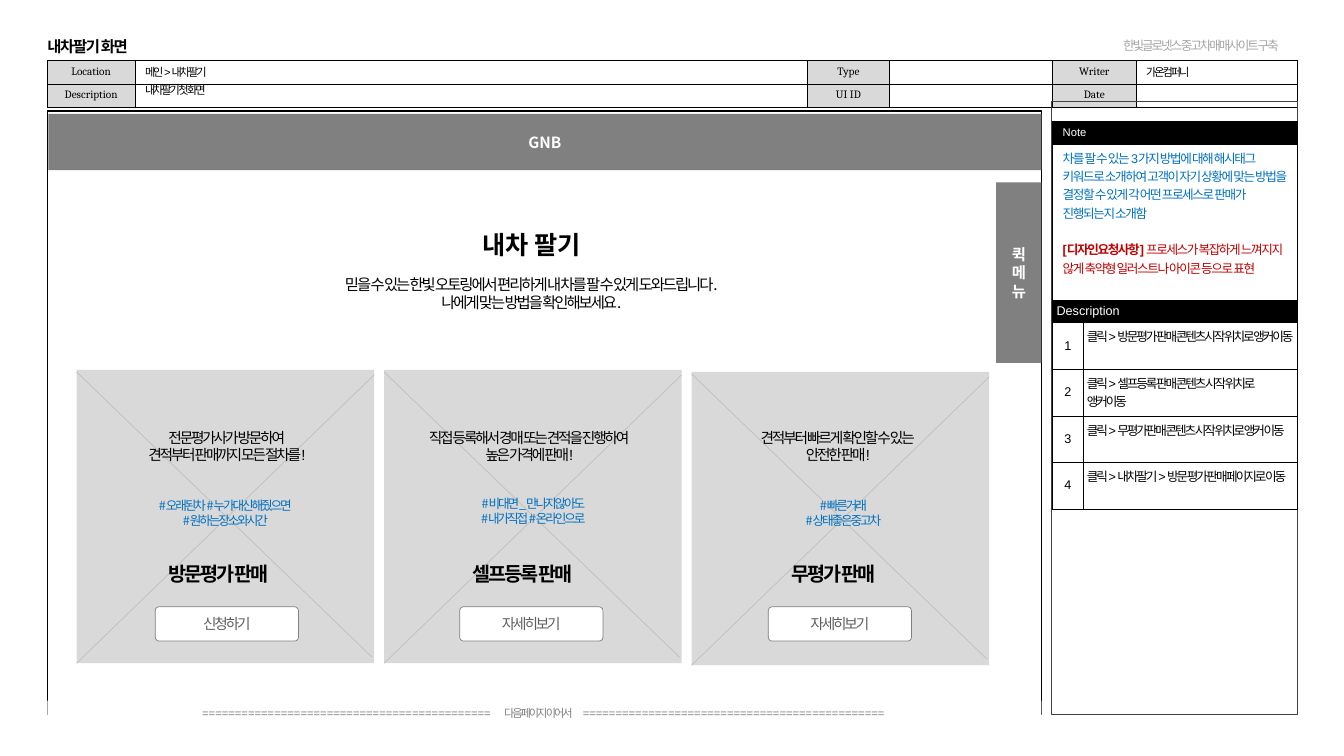
from lxml import etree
from pptx import Presentation
from pptx.dml.color import RGBColor
from pptx.enum.shapes import MSO_CONNECTOR, MSO_SHAPE
from pptx.enum.text import MSO_ANCHOR, MSO_AUTO_SIZE, PP_ALIGN
from pptx.oxml.ns import qn
from pptx.util import Inches, Pt

LEFT, CENTER = PP_ALIGN.LEFT, PP_ALIGN.CENTER
TOP, MIDDLE = MSO_ANCHOR.TOP, MSO_ANCHOR.MIDDLE
RECT, ROUND = MSO_SHAPE.RECTANGLE, MSO_SHAPE.ROUNDED_RECTANGLE
STRAIGHT = MSO_CONNECTOR.STRAIGHT
TITLE_ONLY = 5
KOREAN = "Noto Sans CJK KR"
BLACK, WHITE, GRAY, PALE = "000000", "FFFFFF", "808080", "D9D9D9"
BLUE, RED = "0070C0", "C00000"
TIGHT = -1.5


def grid(count):
    """Turn grid columns or rows into a length; ten make an inch."""
    return Inches(count / 10)


def color(code):
    """Turn a hex string into a colour."""
    return RGBColor.from_string(code)


def paint(item, fill=None, line=None, weight=0.25):
    """Set the fill and the outline of a shape."""
    if fill:
        item.fill.solid()
        item.fill.fore_color.rgb = color(fill)
    else:
        item.fill.background()
    if line:
        item.line.color.rgb = color(line)
        item.line.width = Pt(weight)
    else:
        item.line.fill.background()


def write(frame, lines, size=9, font="Arial", ink=BLACK, bold=False, tracking=0,
          align=LEFT, spacing=1.2, gap=0, before=0):
    """Write paragraphs; a line is a string or a list of (text, overrides)."""
    for index, line in enumerate(lines):
        para = frame.add_paragraph() if index else frame.paragraphs[0]
        para.alignment = align
        para.space_before = Pt(gap if index else before)
        if spacing:
            para.line_spacing = Pt(round(size * spacing, 1))
        if not line:
            para._p.get_or_add_endParaRPr().set("sz", str(size * 100))
            continue
        for text, changes in [(line, {})] if isinstance(line, str) else line:
            span = para.add_run()
            span.text = text
            span.font.size = Pt(size)
            span.font.name = font
            span.font.bold = changes.get("bold", bold)
            span.font.color.rgb = color(ink)
            marks = span._r.get_or_add_rPr()
            marks.set("spc", str(int(tracking * 100)))
            east = etree.Element(qn("a:ea"), typeface=KOREAN)
            marks.find(qn("a:latin")).addnext(east)


class Page:
    """Holds the deck's style and the current slide."""

    def __init__(self, deck):
        self.slide = deck.slides.add_slide(deck.slide_layouts[TITLE_ONLY])
        self.shapes = self.slide.shapes

    def frame(self, box, lines, anchor=TOP, inset=(1, 0.5), **style):
        """Format the text frame of a box and fill it."""
        frame = box.text_frame
        frame.word_wrap = True
        frame.auto_size = MSO_AUTO_SIZE.NONE
        frame.vertical_anchor = anchor
        frame.margin_left = frame.margin_right = grid(inset[0])
        frame.margin_top = frame.margin_bottom = grid(inset[1])
        write(frame, lines, **style)

    def title(self, text, area, **style):
        """Move and format the title placeholder."""
        box = self.shapes.title
        box.left, box.top, box.width, box.height = map(grid, area)
        self.frame(box, [text], MIDDLE, (0, 0), **style)

    def text(self, lines, area, **style):
        """Add a text box."""
        self.frame(self.shapes.add_textbox(*map(grid, area)), lines, **style)

    def shape(self, area, lines=(), kind=RECT, fill=None, line=None, weight=0.25, **style):
        """Add a preset shape, with centred text if given."""
        box = self.shapes.add_shape(kind, *map(grid, area))
        box.shadow.inherit = False
        paint(box, fill, line, weight)
        if kind == ROUND:
            box.adjustments[0] = 0.11
        if lines:
            self.frame(box, lines, MIDDLE, align=CENTER, **style)

    def line(self, start, end, ink, weight):
        """Add a straight line between two points."""
        edge = self.shapes.add_connector(STRAIGHT, *map(grid, start + end))
        edge.line.color.rgb = color(ink)
        edge.line.width = Pt(weight)
        etree.SubElement(edge._element.spPr, qn("a:effectLst"))

    def table(self, corner, columns, rows):
        """Add an unstyled table of given column widths and row heights."""
        area = corner + (sum(columns), sum(rows))
        table = self.shapes.add_table(len(rows), len(columns), *map(grid, area)).table
        table.first_row = table.horz_banding = False
        for column, width in zip(table.columns, columns):
            column.width = grid(width)
        for row, height in zip(table.rows, rows):
            row.height = grid(height)
        return table

    def cell(self, cell, lines, fill=WHITE, anchor=MIDDLE, inset=(1, 0.5), **style):
        """Format one table cell with thin black borders and fill it."""
        cell.vertical_anchor = anchor
        cell.margin_left = cell.margin_right = grid(inset[0])
        cell.margin_top = cell.margin_bottom = grid(inset[1])
        for side in ("lnL", "lnR", "lnT", "lnB"):
            border = etree.SubElement(cell._tc.get_or_add_tcPr(), qn("a:" + side), w="3175")
            solid = etree.SubElement(border, qn("a:solidFill"))
            etree.SubElement(solid, qn("a:srgbClr"), val=BLACK)
        cell.fill.solid()
        cell.fill.fore_color.rgb = color(fill)
        write(cell.text_frame, lines, spacing=None, **style)


def draw_header(page):
    """Draw the page title, project name and document data."""
    page.title("내차팔기 화면", (4.7, 3.7, 40.5, 1.7), size=11, bold=True, tracking=-1)
    page.text(["한빛글로넷스 중고차매매사이트 구축"], (11.04 * 10, 3.3, 19.3, 2.5),
              ink="A6A6A6", tracking=TIGHT)
    table = page.table((4.7, 6), (8.7, 66.7, 8.1, 16.2, 8.3, 16), (2.3, 2.3))
    labels = (("Location", "", "Type", "", "Writer", ""),
              ("Description", "", "UI ID", "", "Date", ""))
    for row, names in enumerate(labels):
        for column, name in enumerate(names):
            page.cell(table.cell(row, column), [name], PALE if name else WHITE,
                      inset=(0.4, 0.4), size=8, font="Cambria", align=CENTER, before=1.6)
    for value, left, top, width in (("메인 > 내차팔기", 13.4, 6.1, 66.6),
                                    ("내차팔기 첫 화면", 13.4, 7.9, 66.6),
                                    ("가온컴퍼니", 112.7, 6.1, 16)):
        page.text([value], (left, top, width, 2), anchor=MIDDLE, inset=(1, 0),
                  size=8, tracking=TIGHT)


def draw_frames(page):
    """Draw the outlines of both areas, the bars and the page footer."""
    page.shape((104.3, 10, 24.4, 60.9), line="404040")
    page.shape((4.7, 11, 98.6, 59.9), line=BLACK, weight=1)
    page.shape((4.7, 69.5, 98.6, 2.4), fill=WHITE)
    for text, center, tracking in (("=" * 44, 34.4, 0), ("다음페이지 이어서", 53.4, TIGHT),
                                   ("=" * 46, 72.8, 0)):
        page.text([text], (center - 17, 69.5, 34, 2.4), anchor=MIDDLE, size=8,
                  ink=GRAY, align=CENTER, tracking=tracking)
    bar = dict(fill=GRAY, size=11, font=KOREAN, ink=WHITE, bold=True)
    page.shape((4.8, 11.3, 98.5, 5.6), ["GNB"], **bar)
    page.shape((98.8, 18.1, 4.5, 17.9), ["퀵", "메뉴"], **bar)


def draw_notes(page):
    """Draw the table of notes and numbered descriptions."""
    steps = ("클릭 > 방문평가 판매 콘텐츠시작 위치로 앵커이동",
             "클릭 > 셀프등록 판매 콘텐츠 시작 위치로 앵커이동",
             "클릭 > 무평가판매 콘텐츠 시작 위치로 앵커 이동",
             "클릭 > 내차팔기 > 방문 평가 판매 페이지로 이동")
    table = page.table((104.4, 12), (3, 21.3), (2.2, 15.5, 2.2) + (4.6,) * len(steps))
    for row in range(3):
        table.cell(row, 0).merge(table.cell(row, 1))
    page.cell(table.cell(0, 0), ["Note"], BLACK, size=8, ink=WHITE)
    note = table.cell(1, 0)
    page.cell(note, ["차를 팔 수 있는 3가지 방법에 대해 해시태그 키워드로 소개하여 고객이 자기 상황에 맞는 "
                     "방법을 결정할 수 있게 각 어떤 프로세스로 판매가 진행되는지 소개함",
                     [("[디자인요청사항] ", {"bold": True}),
                      ("프로세스가 복잡하게 느껴지지 않게 축약형 일러스트나 아이콘 등으로 표현", {})]],
              anchor=TOP, ink=BLUE, tracking=-1, gap=13)
    for span in note.text_frame.paragraphs[1].runs:
        span.font.color.rgb = color(RED)
    page.cell(table.cell(2, 0), ["Description"], BLACK, inset=(0.4, 0.4), ink=WHITE)
    for number, step in enumerate(steps, 1):
        page.cell(table.cell(number + 2, 0), [str(number)], align=CENTER, tracking=-1)
        page.cell(table.cell(number + 2, 1), [step], anchor=TOP, inset=(0.4, 0.5),
                  tracking=TIGHT)


def draw_cards(page):
    """Draw the introduction and the three ways of selling."""
    page.text(["내차 팔기"], (29.6, 20.8, 46.2, 6), size=18, font=KOREAN, bold=True,
              align=CENTER, spacing=1.8)
    page.text(["믿을 수 있는 한빛 오토링에서 편리하게 내 차를 팔 수 있게 도와드립니다.",
               "나에게 맞는 방법을 확인해보세요."],
              (29.6, 26.8, 46.2, 5), size=11, font=KOREAN, align=CENTER, tracking=TIGHT)
    # top, caption and its centre, tags with centre and top, name and left, button and left
    cards = (
        (36.7, ["전문평가사가 방문하여", "견적부터 판매까지 모든 절차를!"], 22.5,
         ["#오래된차 #누가대신해줬으면", "#원하는장소와시간"], 22.35, 48.9,
         "방문평가 판매", 15.7, "신청하기", 15.4),
        (36.7, ["직접 등록해서 경매 또는 견적을 진행하여", "높은 가격에 판매!"], 52.5,
         ["#비대면_만나지않아도", "#내가직접 #온라인으로"], 52.9, 48.7,
         "셀프등록 판매", 45.9, "자세히보기", 45.6),
        (36.9, ["견적부터 빠르게 확인할 수 있는", "안전한 판매!"], 83.1,
         ["#빠른거래", "#상태좋은중고차"], 83.65, 48.9,
         "무평가 판매", 77.5, "자세히보기", 76.2))
    for index, (top, caption, middle, tags, tag_middle, tag_top,
                name, name_left, action, action_left) in enumerate(cards):
        left = 7.6 + 30.5 * index
        page.shape((left, top, 29.5, 29.1), fill=PALE)
        page.line((left, top + 29.1), (left + 29.5, top + 0.5), "BFBFBF", 0.5)
        page.line((left, top + 0.2), (left + 29.3, top + 28.5), "BFBFBF", 0.5)
        page.text(caption, (middle - 14, 42, 28, 4.5), size=10.5, align=CENTER, tracking=TIGHT)
        page.text(tags, (tag_middle - 11, tag_top, 22, 4), font=KOREAN, ink=BLUE,
                  align=CENTER, tracking=TIGHT)
        page.text([name], (name_left, 55.3, 16, 3.4), size=14, font=KOREAN, bold=True,
                  tracking=TIGHT)
        page.shape((action_left, 60.2, 14.2, 3.4), [action], ROUND, WHITE, GRAY, 0.5,
                   size=10.5, font="Lato", ink="5F5F5F", tracking=TIGHT)


deck = Presentation()
deck.slide_width, deck.slide_height = Inches(13.33), Inches(7.5)
screen = Page(deck)
for draw in (draw_header, draw_frames, draw_notes, draw_cards):
    draw(screen)
deck.save("out.pptx")
